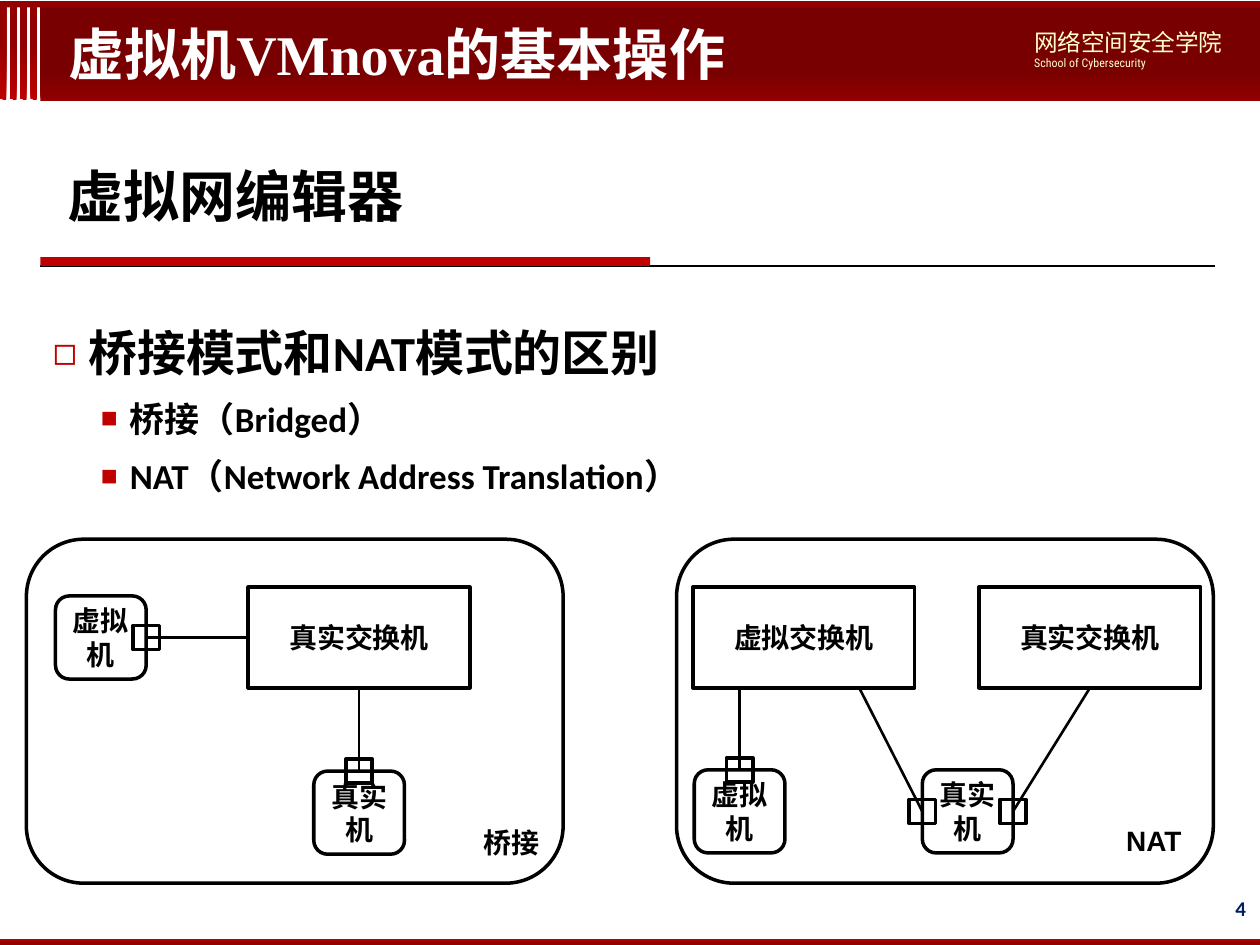
from typing import NamedTuple, Optional

from lxml import etree
from pptx import Presentation
from pptx.dml.color import RGBColor
from pptx.enum.shapes import MSO_CONNECTOR, MSO_SHAPE
from pptx.enum.text import MSO_ANCHOR, MSO_AUTO_SIZE, PP_ALIGN
from pptx.oxml.ns import qn
from pptx.util import Inches, Pt

RECT, ROUND = MSO_SHAPE.RECTANGLE, MSO_SHAPE.ROUNDED_RECTANGLE
STRAIGHT = MSO_CONNECTOR.STRAIGHT
LEFT, CENTER, RIGHT = PP_ALIGN.LEFT, PP_ALIGN.CENTER, PP_ALIGN.RIGHT
TOP_ANCHOR, MIDDLE = MSO_ANCHOR.TOP, MSO_ANCHOR.MIDDLE
NO_FIT = MSO_AUTO_SIZE.NONE
TOP_SIDE, LEFT_SIDE, BOTTOM_SIDE, RIGHT_SIDE = range(4)

BLACK, WHITE, RED, DARK_RED, DEEP_RED = "000000", "FFFFFF", "C00000", "920000", "780000"
CJK_FONT = "Noto Sans CJK SC"
PORT_WIDTH, PORT_HEIGHT = 0.21, 0.19


class Area(NamedTuple):
    left: float
    top: float
    width: float
    height: float

    def lengths(self):
        return [Inches(value) for value in self]

    def side(self, index: int) -> tuple[float, float]:
        """Middle of one side: 0 top, 1 left, 2 bottom, 3 right."""
        across, down = [(0.5, 0), (0, 0.5), (0.5, 1), (1, 0.5)][index]
        return self.left + across * self.width, self.top + down * self.height


class Node(NamedTuple):
    name: str
    area: Area
    kind: int


class Cable(NamedTuple):
    machine: str
    side: int
    switch: str
    switch_side: Optional[int] = None  # None: the cable ends at end_x on the bottom edge
    end_x: float = 0


class Bullet(NamedTuple):
    text: str
    level: int
    size: int
    mark: str
    margin: float
    hang: float


def rgb(value: str) -> RGBColor:
    return RGBColor.from_string(value)


def add_text(para, text: str, *, size: float, font: str, color: str = BLACK,
             bold: bool = True, align=LEFT):
    para.alignment = align
    span = para.add_run()
    span.text = text
    span.font.size, span.font.name, span.font.bold = Pt(size), font, bold
    span.font.color.rgb = rgb(color)
    east_asian = etree.SubElement(span.font._element, qn("a:ea"))
    east_asian.set("typeface", CJK_FONT)


def add_text_box(page, area: Area, anchor=TOP_ANCHOR):
    frame = page.shapes.add_textbox(*area.lengths()).text_frame
    frame.word_wrap = True
    frame.vertical_anchor = anchor
    return frame


def place_holder(holder, area: Area, anchor):
    holder.left, holder.top, holder.width, holder.height = area.lengths()
    frame = holder.text_frame
    frame.auto_size, frame.vertical_anchor, frame.word_wrap = NO_FIT, anchor, True
    return frame


def add_band(page, area: Area, stops: list[tuple[float, str]], angle: float = 0):
    """Red bar without outline; one stop gives a solid fill, two a gradient."""
    box = page.shapes.add_shape(RECT, *area.lengths())
    box.shadow.inherit = False
    box.line.fill.background()
    if len(stops) == 1:
        box.fill.solid()
        box.fill.fore_color.rgb = rgb(stops[0][1])
        return
    box.fill.gradient()
    box.fill.gradient_angle = angle
    for stop, (position, color) in zip(box.fill.gradient_stops, stops):
        stop.position, stop.color.rgb = position, rgb(color)


def add_outline(page, kind, area: Area, text: str = ""):
    box = page.shapes.add_shape(kind, *area.lengths())
    box.shadow.inherit = False
    box.fill.background()
    box.line.color.rgb, box.line.width = rgb(BLACK), Pt(2)
    if text:
        box.text_frame.word_wrap = True
        box.text_frame.vertical_anchor = MIDDLE
        add_text(box.text_frame.paragraphs[0], text, size=16, font="Calibri", align=CENTER)
    return box


def add_line(page, start: tuple[float, float], end: tuple[float, float]):
    line = page.shapes.add_connector(STRAIGHT, *map(Inches, (*start, *end)))
    line.line.color.rgb, line.line.width = rgb(BLACK), Pt(1.5)
    etree.SubElement(line._element.spPr, qn("a:effectLst"))
    return line


def add_bullet(para, bullet: Bullet):
    add_text(para, bullet.text, size=bullet.size, font="Calibri")
    para.level, para.line_spacing = bullet.level, 1.2
    para.space_before = Pt(bullet.size * 0.2)
    props = para._p.get_or_add_pPr()
    props.set("marL", str(Inches(bullet.margin)))
    props.set("indent", str(-Inches(bullet.hang)))
    color = etree.SubElement(props, qn("a:buClr"))
    etree.SubElement(color, qn("a:srgbClr")).set("val", RED)
    etree.SubElement(props, qn("a:buSzPct")).set("val", "80000")
    etree.SubElement(props, qn("a:buChar")).set("char", bullet.mark)


def add_network(page, frame: Area, nodes: dict[str, Node], cables: list[Cable],
                label: str, label_area: Area):
    boxes = {key: add_outline(page, node.kind, node.area, node.name)
             for key, node in nodes.items()}
    for cable in cables:
        switch = nodes[cable.switch].area
        start = nodes[cable.machine].area.side(cable.side)
        if cable.switch_side is None:
            end = (cable.end_x, switch.top + switch.height)
        else:
            end = switch.side(cable.switch_side)
        line = add_line(page, start, end)
        line.begin_connect(boxes[cable.machine], cable.side)
        if cable.switch_side is not None:
            line.end_connect(boxes[cable.switch], cable.switch_side)
        port = Area(start[0] - PORT_WIDTH / 2, start[1] - PORT_HEIGHT / 2,
                    PORT_WIDTH, PORT_HEIGHT)
        add_outline(page, RECT, port)
    add_outline(page, ROUND, frame)
    add_text(add_text_box(page, label_area).paragraphs[0], label, size=16, font="Arial")


def machine(name: str, left: float, top: float) -> Node:
    return Node(name, Area(left, top, 0.72, 0.66), ROUND)


def switch(name: str, left: float) -> Node:
    return Node(name, Area(left, 4.66, 1.76, 0.8), RECT)


def main():
    deck = Presentation()
    deck.slide_width, deck.slide_height = Inches(10), Inches(7.5)
    page = deck.slides.add_slide(deck.slide_layouts[1])
    title, body = page.placeholders

    # Header and footer bands
    for index in range(4):
        add_band(page, Area(0.08 * index, 0.05, 0.05, 0.74),
                 [(0, RED), (0.62, DARK_RED)], 45)
    add_band(page, Area(0.32, 0.06, 9.68, 0.74), [(0, DARK_RED), (0.32, DEEP_RED)], 90)
    add_band(page, Area(0, 7.45, 10, 0.05), [(0.1, RED), (0.54, DARK_RED)], 270)
    add_band(page, Area(0, 0.01, 10, 0.05), [(0, DARK_RED)])

    # School name and page number
    school = add_text_box(page, Area(8.11, 0.17, 1.81, 0.44))
    add_text(school.paragraphs[0], "网络空间安全学院", size=13.5, font=CJK_FONT,
             color="FFFFCD", bold=False)
    add_text(school.add_paragraph(), "School of Cybersecurity", size=6.8,
             font="Roboto Condensed", color="FFFFCD", bold=False)
    number = add_text_box(page, Area(7.63, 7.01, 2.33, 0.4), MIDDLE)
    number.margin_left = number.margin_right = Inches(0.07)
    add_text(number.paragraphs[0], "4", size=12, font="Calibri", color="002060", align=RIGHT)

    # Title, moved above the header band
    page.shapes._spTree.append(title._element)
    heading = place_holder(title, Area(0.44, 0.05, 6.77, 0.74), MIDDLE).paragraphs[0]
    for text, font in [("虚拟机", "Roboto Condensed"), ("VMnova", "Times New Roman"),
                       ("的基本操作", "Roboto Condensed")]:
        add_text(heading, text, size=32, font=font, color=WHITE)

    # Subtitle with its rule
    subtitle = add_text_box(page, Area(0.44, 1.23, 9.19, 0.75)).paragraphs[0]
    add_text(subtitle, "虚拟网编辑器", size=32, font="Lato")
    subtitle.space_before = Pt(6.4)
    add_line(page, (0.32, 2.11), (9.64, 2.11))
    add_band(page, Area(0.32, 2.04, 4.84, 0.07), [(0, RED)])

    # Bullet list
    frame = place_holder(body, Area(0.32, 2.42, 9.31, 4.59), TOP_ANCHOR)
    bullets = [Bullet("桥接模式和NAT模式的区别", 0, 28, "◻", 0.28, 0.28),
               Bullet("桥接（Bridged）", 1, 20, "■", 0.61, 0.23),
               Bullet("NAT（Network Address Translation）", 1, 20, "■", 0.61, 0.23)]
    for index, bullet in enumerate(bullets):
        add_bullet(frame.add_paragraph() if index else frame.paragraphs[0], bullet)

    # Bridged and NAT networks
    add_network(page, Area(0.21, 4.28, 4.26, 2.73),
                {"guest": machine("虚拟机", 0.44, 4.73), "host": machine("真实机", 2.49, 6.12),
                 "real": switch("真实交换机", 1.97)},
                [Cable("guest", RIGHT_SIDE, "real", LEFT_SIDE),
                 Cable("host", TOP_SIDE, "real", BOTTOM_SIDE)],
                "桥接", Area(3.74, 6.5, 0.74, 0.37))
    add_network(page, Area(5.37, 4.28, 4.26, 2.73),
                {"guest": machine("虚拟机", 5.51, 6.11), "host": machine("真实机", 7.32, 6.11),
                 "virtual": switch("虚拟交换机", 5.5), "real": switch("真实交换机", 7.77)},
                [Cable("guest", TOP_SIDE, "virtual", end_x=5.87),
                 Cable("host", LEFT_SIDE, "virtual", end_x=6.82),
                 Cable("host", RIGHT_SIDE, "real", BOTTOM_SIDE)],
                "NAT", Area(8.84, 6.49, 0.74, 0.37))
    deck.save("out.pptx")


if __name__ == "__main__":
    main()
